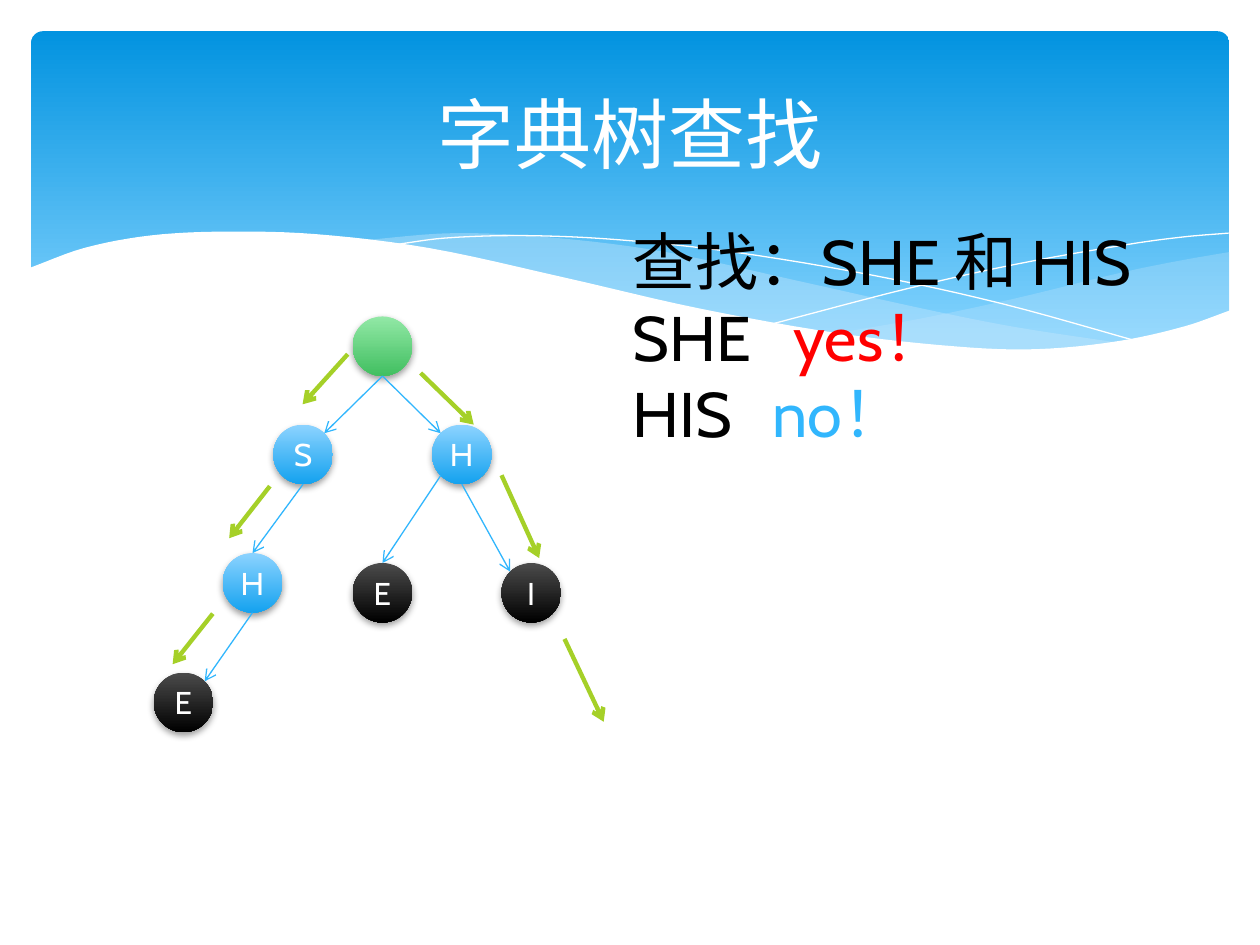
from lxml.etree import SubElement
from pptx import Presentation
from pptx.dml.color import RGBColor
from pptx.enum.shapes import MSO_CONNECTOR as Connector, MSO_SHAPE as Shape
from pptx.enum.text import MSO_ANCHOR as Anchor, PP_ALIGN as Align
from pptx.oxml.ns import qn
from pptx.util import Cm, Pt

hex_color = RGBColor.from_string


def write_text(para, text, size=36, color="000000", align=None):
    span = para.add_run()
    span.text = text
    span.font.name = "Cabin"
    span.font.size = Pt(size)
    span.font.color.rgb = hex_color(color)
    if align is not None:
        para.alignment = align


def smooth(knots, steps=6):
    last = len(knots) - 1
    slopes = []
    for i in range(last + 1):
        (x0, y0), (x1, y1) = knots[max(i - 1, 0)], knots[min(i + 1, last)]
        slopes.append((y1 - y0) / (x1 - x0))
    points = []
    for i in range(last):
        (x0, y0), (x1, y1) = knots[i], knots[i + 1]
        width = x1 - x0
        for step in range(steps + 1):
            t = step / steps
            rise = 3 * t**2 - 2 * t**3
            bend = slopes[i] * t * (1 - t) ** 2 - slopes[i + 1] * t**2 * (1 - t)
            points.append((Cm(x0 + width * t), Cm(y0 + (y1 - y0) * rise + width * bend)))
    return points


deck = Presentation()
deck.slide_width, deck.slide_height = Cm(25.4), Cm(19.05)
page = deck.slides.add_slide(deck.slide_layouts[5])
shapes = page.shapes

banner = shapes.add_shape(Shape.ROUNDED_RECTANGLE, Cm(0.63), Cm(0.63), Cm(24.15), Cm(6.86))
banner.adjustments[0] = 0.034
banner.shadow.inherit = False
banner.line.fill.background()
banner.fill.gradient()
banner.fill.gradient_angle = 270
for stop, color, position in zip(banner.fill.gradient_stops, ["0293E0", "83D3FE"], [0, 0.9]):
    stop.color.rgb = hex_color(color)
    stop.position = position

right_wave = smooth([(16.79, 6.73), (18.52, 6.43), (20.45, 6.02), (22.63, 5.49), (23.75, 5.26), (24.79, 5.08)])
right_wave += smooth([(24.79, 6.27), (23.75, 6.65), (22.58, 6.91), (20.68, 7.06), (18.92, 6.99), (16.79, 6.73)])
middle_wave = smooth([(7.26, 4.85), (9.17, 4.7), (11.23, 4.8), (13.41, 5.08),
                      (15.98, 5.64), (18.82, 6.27), (20.5, 6.6), (22.68, 6.93)])
middle_wave += smooth([(22.68, 6.93), (20.78, 7.06), (18.69, 6.99), (16.51, 6.71),
                       (13.46, 6.1), (11.4, 5.64), (9.19, 5.16), (7.26, 4.85)])
falling_line = smooth([(7.85, 4.95), (8.97, 4.8), (10.57, 4.75), (12.42, 4.83),
                       (14.78, 5.08), (17.65, 5.56), (20.19, 6.12), (23.04, 6.91)])
rising_line = smooth([(15.57, 6.53), (18.29, 5.82), (20.47, 5.33), (22.73, 4.93), (23.83, 4.78), (24.77, 4.7)])
white_wave = smooth([(0.58, 5.41), (1.7, 5), (3.02, 4.75), (4.5, 4.67), (6.35, 4.72), (8.64, 5), (11.35, 5.59),
                     (14.1, 6.22), (16.97, 6.73), (19.33, 6.99), (20.9, 7.04), (22.53, 6.88),
                     (23.88, 6.58), (24.82, 6.25)])
white_wave += [(Cm(24.82), Cm(8.36)), (Cm(0.58), Cm(8.36))]

for points, color, alpha in [
    (right_wave, "C6E7FC", 29),
    (middle_wave, "C6E7FC", 40),
    (falling_line, None, None),
    (rising_line, None, None),
    (white_wave, "FFFFFF", 100),
]:
    builder = shapes.build_freeform(*points[0])
    builder.add_line_segments(points[1:], close=color is not None)
    wave = builder.convert_to_shape()
    wave.shadow.inherit = False
    if color is None:
        wave.fill.background()
        wave.line.color.rgb = hex_color("FFFFFF")
        wave.line.width = Pt(0)
    else:
        wave.fill.solid()
        wave.fill.fore_color.rgb = hex_color(color)
        wave.line.fill.background()
        fill_color = wave._element.spPr.find(".//" + qn("a:srgbClr"))
        SubElement(fill_color, qn("a:alpha"), val=str(alpha * 1000))

title = shapes.title
title._element.getparent().append(title._element)
title.left, title.top, title.width, title.height = Cm(1.27), Cm(0.94), Cm(22.86), Cm(3.48)
title.text_frame.vertical_anchor = Anchor.MIDDLE
write_text(title.text_frame.paragraphs[0], "字典树查找", size=44, color="FFFFFF", align=Align.CENTER)

radius = 0.6
green, blue, black = ("92E8A6", "41BF60"), ("8CD3FF", "14A2EF"), ("4B4B4B", "000000")
nodes = {}
for name, letter, x, y, colors in [
    ("root", "", 7.71, 6.98, green),
    ("S", "S", 6.11, 9.16, blue),
    ("HE", "E", 7.71, 11.95, black),
    ("H", "H", 9.31, 9.16, blue),
    ("HI", "I", 10.71, 11.95, black),
    ("SHE", "E", 3.7, 14.16, black),
    ("SH", "H", 5.09, 11.75, blue),
]:
    node = shapes.add_shape(Shape.OVAL, Cm(x - radius), Cm(y - radius), Cm(2 * radius), Cm(2 * radius))
    nodes[name] = (node, x, y)
    node.line.fill.background()
    node.fill.gradient()
    node.fill.gradient_angle = 270
    for stop, color in zip(node.fill.gradient_stops, colors):
        stop.color.rgb = hex_color(color)
    node.shadow.inherit = False
    effects = node._element.spPr.find(qn("a:effectLst"))
    shadow = SubElement(effects, qn("a:outerShdw"), blurRad=str(Pt(4)), dist=str(Pt(2)),
                        dir="5400000", rotWithShape="0")
    shadow_color = SubElement(shadow, qn("a:srgbClr"), val="000000")
    SubElement(shadow_color, qn("a:alpha"), val="38000")
    if letter:
        node.text_frame.word_wrap = False
        node.text_frame.vertical_anchor = Anchor.MIDDLE
        write_text(node.text_frame.paragraphs[0], letter, size=18, color="FFFFFF", align=Align.CENTER)

top, bottom = (0, -1), (0, 1)
top_left, top_right, bottom_left = (-0.71, -0.71), (0.71, -0.71), (-0.71, 0.71)
arrows = []
for parent, child, leave, enter in [
    ("root", "S", bottom, top_right),
    ("root", "H", bottom, top_left),
    ("S", "SH", bottom, top),
    ("H", "HE", bottom_left, top),
    ("H", "HI", bottom, top_left),
    ("SH", "SHE", bottom, top_right),
]:
    _, x0, y0 = nodes[parent]
    target, x1, y1 = nodes[child]
    ends = (x0 + radius * leave[0], y0 + radius * leave[1], x1 + radius * enter[0], y1 + radius * enter[1])
    arrows.append((ends, "31B6FD", 0.75, target if enter == top else None))
for ends in [
    (7.01, 7.14, 6.1, 8.15),
    (5.44, 9.8, 4.62, 10.85),
    (4.29, 12.37, 3.48, 13.39),
    (8.48, 7.52, 9.55, 8.56),
    (10.11, 9.58, 10.87, 11.25),
    (11.38, 12.88, 12.17, 14.55),
]:
    arrows.append((ends, "A5D028", 2.5, None))

for ends, color, width, target in arrows:
    arrow = shapes.add_connector(Connector.STRAIGHT, *[Cm(end) for end in ends])
    if target is not None:
        arrow.end_connect(target, 0)
    arrow.line.color.rgb = hex_color(color)
    arrow.line.width = Pt(width)
    SubElement(arrow.line._get_or_add_ln(), qn("a:tailEnd"), type="arrow")
    SubElement(arrow._element.spPr, qn("a:effectLst"))

box = shapes.add_textbox(Cm(12.5), Cm(4.37), Cm(11.4), Cm(4.88))
box.text_frame.word_wrap = True
write_text(box.text_frame.paragraphs[0], "查找：SHE 和 HIS")
for word, answer, color, tab in [("SHE", "yes！", "FF0000", 3.25), ("HIS", "no！", "31B6FD", 2.82)]:
    para = box.text_frame.add_paragraph()
    tabs = SubElement(para._p.get_or_add_pPr(), qn("a:tabLst"))
    SubElement(tabs, qn("a:tab"), pos=str(Cm(tab)), algn="l")
    write_text(para, word + "\t")
    write_text(para, answer, color=color)

deck.save("out.pptx")
